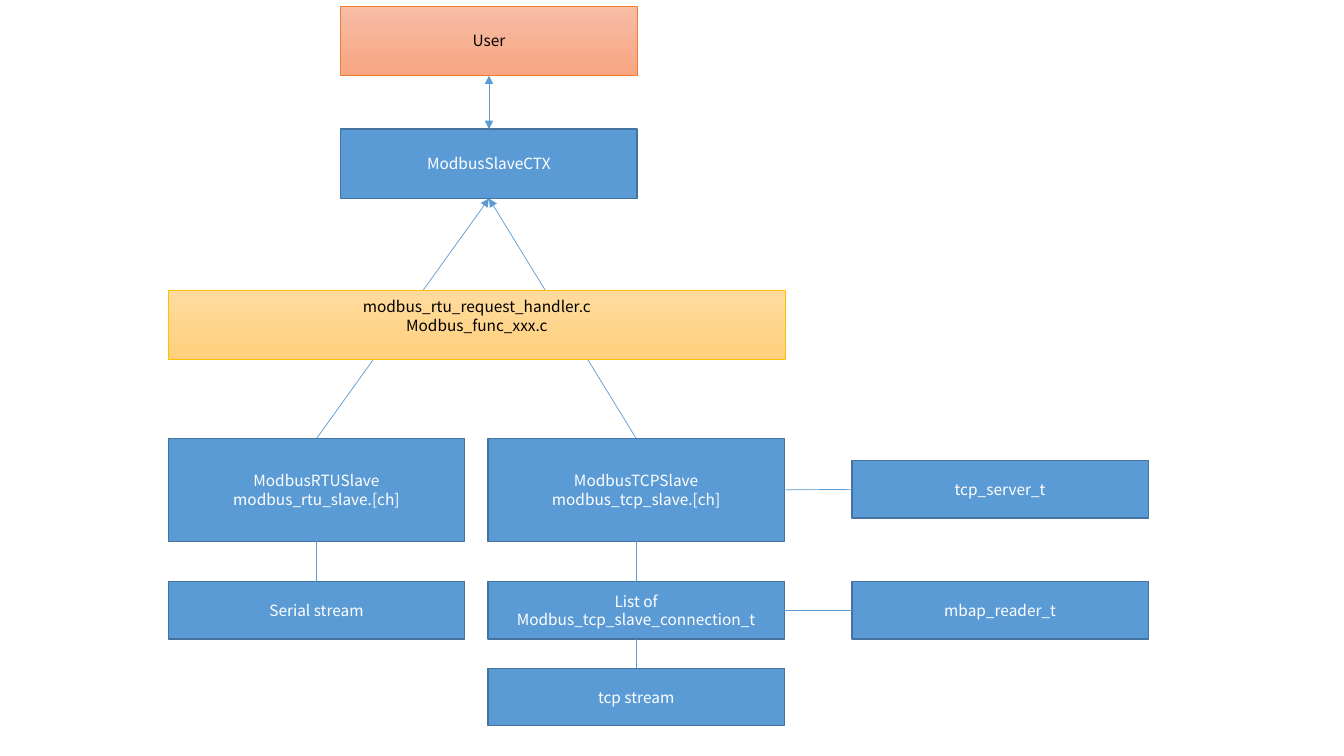
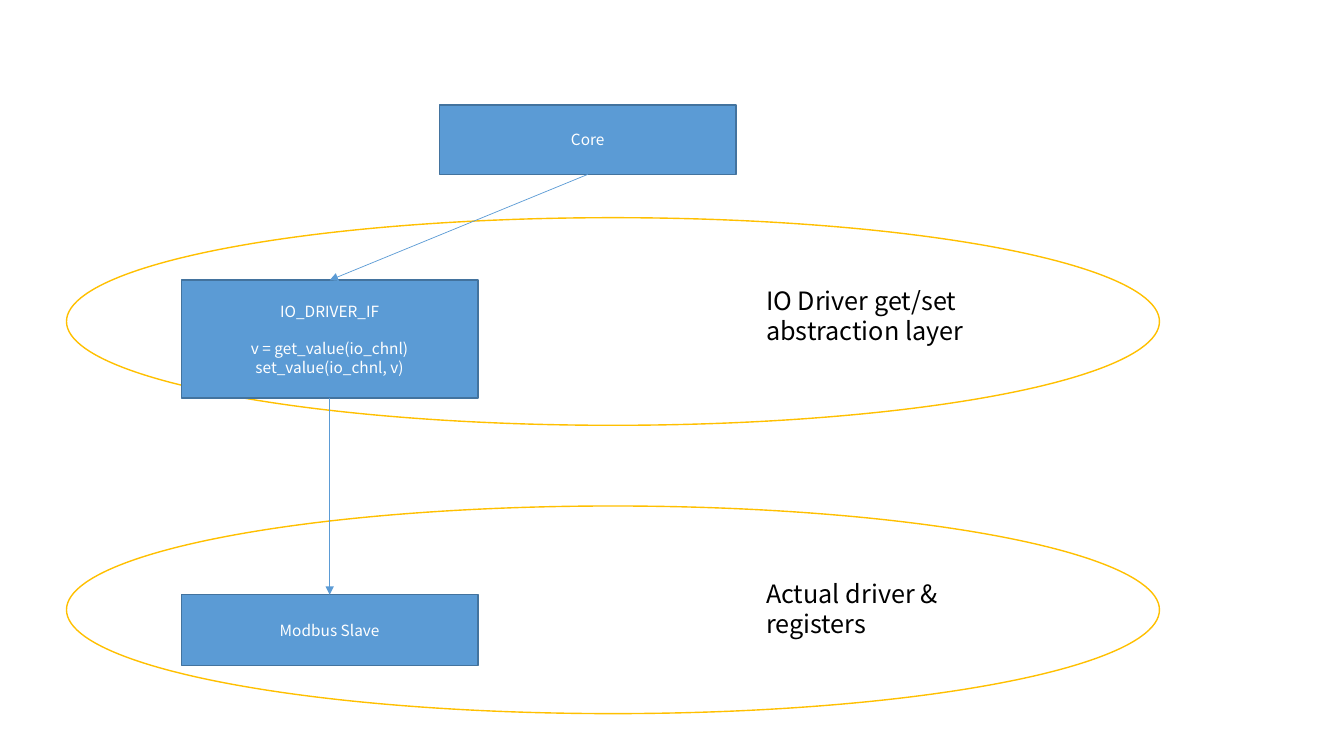
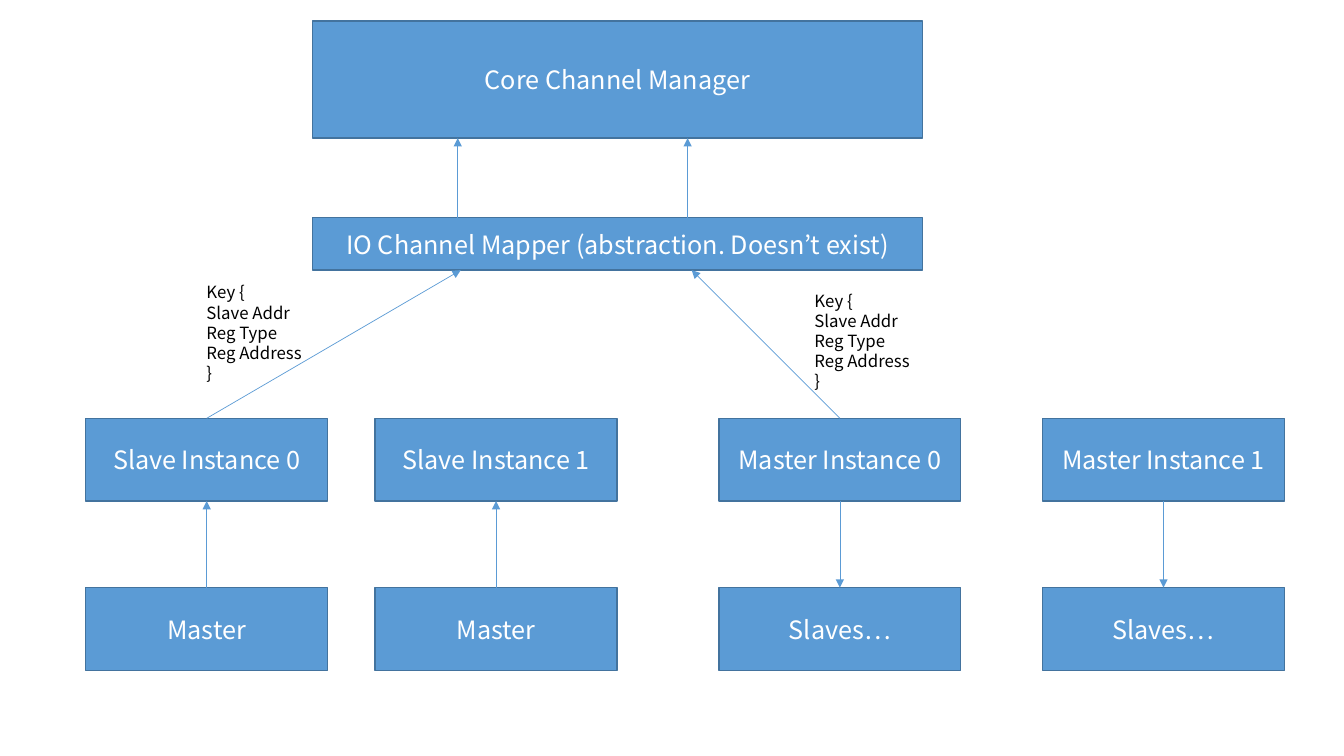
from lxml.etree import SubElement
from pptx import Presentation
from pptx.dml.color import RGBColor
from pptx.enum.shapes import MSO_CONNECTOR as Wire, MSO_SHAPE as Shape
from pptx.enum.text import MSO_ANCHOR as Anchor, MSO_AUTO_SIZE as Auto, PP_ALIGN as Align
from pptx.oxml.ns import qn
from pptx.util import Pt

PX = 9144
TOP, LEFT, BASE, RIGHT = range(4)
BLUE, EDGE, GOLD, ORANGE = "5B9BD5", "43739E", "FFC000", "ED7D31"
WHITE, BLACK = "FFFFFF", "000000"


def px(*vals):
    return [val * PX for val in vals]


def tint(color, code):
    color.rgb = RGBColor.from_string(code)


class Deck:
    face = "Noto Sans CJK KR"

    def __init__(self):
        self.prs = Presentation()
        self.prs.slide_width, self.prs.slide_height = px(1333, 750)

    def page(self):
        layout = self.prs.slide_layouts[6]
        self.shapes = self.prs.slides.add_slide(layout).shapes

    def letter(self, frame, text, size, ink, align, gaps=()):
        for name, val in dict(word_wrap=True, text=text).items():
            setattr(frame, name, val)
        for row, para in enumerate(frame.paragraphs):
            para.alignment = align
            if row in gaps:
                para.space_before = Pt(size * 1.2)
            for name, val in dict(name=self.face, size=Pt(size)).items():
                setattr(para.font, name, val)
            tint(para.font.color, ink)

    def form(self, kind, at, fill, edge, width):
        item = self.shapes.add_shape(kind, *px(*at))
        item.shadow.inherit = False
        if isinstance(fill, tuple):
            item.fill.gradient()
            item.fill.gradient_angle = 270
            for stop, code in zip(item.fill.gradient_stops, fill):
                tint(stop.color, code)
        else:
            item.fill.solid()
            tint(item.fill.fore_color, fill)
        tint(item.line.color, edge)
        item.line.width = Pt(width)
        return item

    def box(self, text, *at, size=11, fill=BLUE, edge=EDGE, width=1, ink=WHITE, gaps=()):
        item = self.form(Shape.RECTANGLE, at, fill, edge, width)
        item.text_frame.vertical_anchor = Anchor.MIDDLE
        self.letter(item.text_frame, text, size, ink, Align.CENTER, gaps)
        return item

    def oval(self, *at):
        self.form(Shape.OVAL, at, WHITE, GOLD, 1)

    def label(self, text, *at, size):
        frame = self.shapes.add_textbox(*px(*at)).text_frame
        self.letter(frame, text, size, BLACK, Align.LEFT)
        frame.auto_size = Auto.SHAPE_TO_FIT_TEXT

    def line(self, *ends, tips=()):
        item = self.shapes.add_connector(Wire.STRAIGHT, *px(*ends))
        tint(item.line.color, BLUE)
        item.line.width = Pt(0.5)
        mark = item._element.spPr.find(qn("a:ln"))
        for tip in tips:
            SubElement(mark, qn(f"a:{tip}End"), type="triangle")
        SubElement(item._element.spPr, qn("a:effectLst"))
        return item

    def join(self, start, out, end, into, tips=()):
        item = self.line(0, 0, 0, 0, tips=tips)
        item.begin_connect(start, out)
        item.end_connect(end, into)


def stack(deck):
    deck.page()
    wide, low, tall = 294, 57, 69
    rtu_x, tcp_x, side_x = 167, 484, 845
    rtu = deck.box("ModbusRTUSlave\nmodbus_rtu_slave.[ch]", rtu_x, 435, wide, 102)
    tcp = deck.box("ModbusTCPSlave\nmodbus_tcp_slave.[ch]", tcp_x, 435, wide, 102)
    serial = deck.box("Serial stream", rtu_x, 577, wide, low)
    server = deck.box("tcp_server_t", side_x, 457, wide, low)
    peers = deck.box("List of\nModbus_tcp_slave_connection_t", tcp_x, 577, wide, low)
    reader = deck.box("mbap_reader_t", side_x, 577, wide, low)
    stream = deck.box("tcp stream", tcp_x, 663, wide, low)
    for upper, lower in (rtu, serial), (tcp, peers), (peers, stream):
        deck.join(upper, BASE, lower, TOP)
    for near, far in (tcp, server), (peers, reader):
        deck.join(near, RIGHT, far, LEFT)
    ctx = deck.box("ModbusSlaveCTX", 338, 128, wide, tall)
    for slave in rtu, tcp:
        deck.join(slave, TOP, ctx, BASE, ["tail"])
    soft = dict(width=0.5, ink=BLACK)
    band = deck.box("modbus_rtu_request_handler.c\nModbus_func_xxx.c", rtu_x, 288, 612, tall,
                    fill=("FFDB9E", "FFD07C"), edge=GOLD, **soft)
    band.text_frame.margin_bottom, = px(23)
    user = deck.box("User", 338, 6, wide, tall,
                    fill=("F7BDA5", "F8A582"), edge=ORANGE, **soft)
    deck.join(user, BASE, ctx, TOP, ["head", "tail"])


def layers(deck):
    deck.page()
    for y in 502, 216:
        deck.oval(66, y, 1084, 206)
    core = deck.box("Core", 436, 104, 294, 69)
    api = deck.box("IO_DRIVER_IF\nv = get_value(io_chnl)\nset_value(io_chnl, v)",
                   180, 278, 294, 117, gaps=[1])
    slave = deck.box("Modbus Slave", 180, 590, 294, 70)
    for upper, lower in (core, api), (api, slave):
        deck.join(upper, BASE, lower, TOP, ["tail"])
    for text, y in ("IO Driver get/set abstraction layer", 278), ("Actual driver & registers", 569):
        deck.label(text, 750, y, 264, 71, size=18)


def routes(deck):
    deck.page()
    deck.box("Core Channel Manager", 310, 21, 605, 116, size=18)
    deck.box("IO Channel Mapper (abstraction. Doesn’t exist)", 310, 216, 605, 52, size=18)
    nodes = [
        ("Slave Instance 0", "Master", 85, True),
        ("Slave Instance 1", "Master", 372, True),
        ("Master Instance 0", "Slaves…", 713, False),
        ("Master Instance 1", "Slaves…", 1034, False),
    ]
    for name, peer, x, rise in nodes:
        node = deck.box(name, x, 415, 240, 82, size=18)
        other = deck.box(peer, x, 583, 240, 82, size=18)
        deck.join(node, BASE, other, TOP, ["head" if rise else "tail"])
    for x, foot, port in (205, 457, 454), (833, 686, 682):
        deck.line(x, 415, foot, 268, tips=["tail"])
        deck.line(port, 216, port, 137, tips=["tail"])
    for x, y in (798, 283), (195, 275):
        deck.label("Key {\nSlave Addr\nReg Type\nReg Address\n}", x, y, 136, 111, size=12)


def main():
    deck = Deck()
    for draw in stack, layers, routes:
        draw(deck)
    deck.prs.save("out.pptx")


if __name__ == "__main__":
    main()
